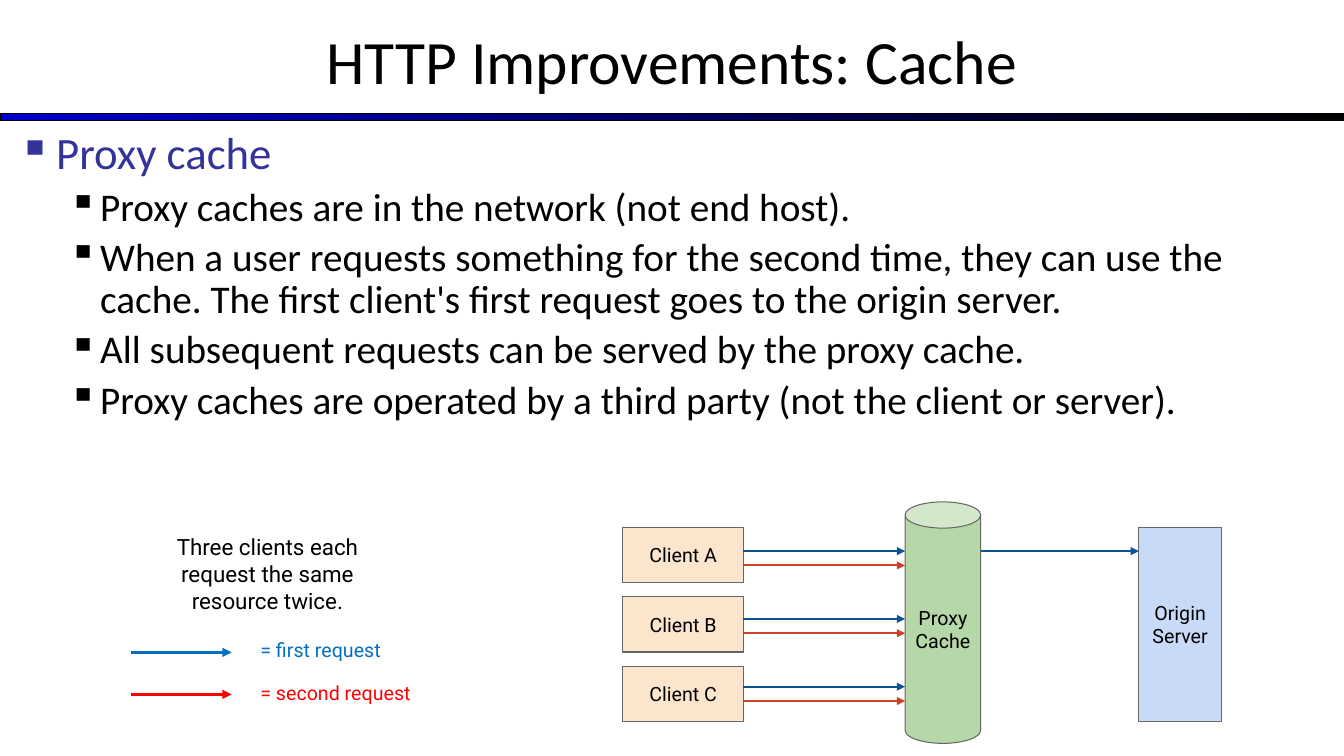
from dataclasses import dataclass

import pptx
import pptx.dml.color
import pptx.enum.shapes
import pptx.enum.text
import pptx.oxml
import pptx.oxml.ns
import pptx.util

Pt = pptx.util.Pt
SHAPE = pptx.enum.shapes.MSO_SHAPE
ALIGN = pptx.enum.text.PP_ALIGN
ANCHOR = pptx.enum.text.MSO_ANCHOR

COLORS = {
    "black": "000000", "bar": "0000CC", "heading": "333399", "outline": "666666",
    "client": "FCE5CD", "cache": "B6D7A8", "server": "C9DAF8",
    "first": "0B5394", "second": "CC4125",
    "first_key": "0070C0", "second_key": "FF0000",
}


@dataclass
class Node:
    text: str
    fill: str
    x: float
    y: float
    w: float
    h: float
    kind: int = SHAPE.RECTANGLE
    inset: float = 7.2


@dataclass
class Arrow:
    x1: float
    x2: float
    y: float
    color: str
    width: float = 1.5


@dataclass
class Label:
    text: str
    x: float
    y: float
    w: float
    h: float
    size: float
    color: str
    align: int = ALIGN.LEFT


@dataclass
class Bullet:
    text: str
    level: int = 1


@dataclass
class BulletStyle:
    size: float
    color: str
    left: float
    hanging: float


def rgb(name: str) -> pptx.dml.color.RGBColor:
    return pptx.dml.color.RGBColor.from_string(COLORS[name])


def set_attrs(obj, values: dict) -> None:
    for name, value in values.items():
        setattr(obj, name, value)


def set_frame(tf, inset_x: float, inset_y: float, anchor: int) -> None:
    set_attrs(tf, {
        "word_wrap": True, "auto_size": pptx.enum.text.MSO_AUTO_SIZE.NONE,
        "vertical_anchor": anchor,
        "margin_left": Pt(inset_x), "margin_right": Pt(inset_x),
        "margin_top": Pt(inset_y), "margin_bottom": Pt(inset_y),
    })


def write(p, text: str, font: str, size: float, color: str, align: int) -> None:
    p.alignment = align
    r = p.add_run()
    r.text = text
    set_attrs(r.font, {"name": font, "size": Pt(size)})
    r.font.color.rgb = rgb(color)


def append_xml(parent, tag: str, **attrs: str):
    child = pptx.oxml.parse_xml(f'<a:{tag} {pptx.oxml.ns.nsdecls("a")}/>')
    for name, value in attrs.items():
        child.set(name, value)
    parent.append(child)
    return child


def draw_node(shapes, node: Node):
    sp = shapes.add_shape(node.kind, Pt(node.x), Pt(node.y), Pt(node.w), Pt(node.h))
    sp.shadow.inherit = False
    sp.fill.solid()
    sp.fill.fore_color.rgb = rgb(node.fill)
    sp.line.color.rgb = rgb("outline")
    sp.line.width = Pt(0.75)
    set_frame(sp.text_frame, node.inset, node.inset, ANCHOR.MIDDLE)
    write(sp.text_frame.paragraphs[0], node.text, "Roboto", 14, "black", ALIGN.CENTER)
    return sp


def draw_arrow(shapes, arrow: Arrow) -> None:
    cx = shapes.add_connector(pptx.enum.shapes.MSO_CONNECTOR.STRAIGHT,
                              Pt(arrow.x1), Pt(arrow.y), Pt(arrow.x2), Pt(arrow.y))
    cx.line.color.rgb = rgb(arrow.color)
    cx.line.width = Pt(arrow.width)
    props = cx._element.spPr
    append_xml(props.find(pptx.oxml.ns.qn("a:ln")), "tailEnd", type="triangle")
    append_xml(props, "effectLst")


def draw_label(shapes, label: Label) -> None:
    sp = shapes.add_textbox(Pt(label.x), Pt(label.y), Pt(label.w), Pt(label.h))
    set_frame(sp.text_frame, 0, 0, ANCHOR.TOP)
    write(sp.text_frame.paragraphs[0], label.text, "Roboto",
          label.size, label.color, label.align)


def write_bullet(p, bullet: Bullet) -> None:
    style = BULLET_STYLES[bullet.level]
    write(p, bullet.text, "Calibri", style.size, style.color, ALIGN.LEFT)
    set_attrs(p, {"level": bullet.level, "line_spacing": 0.9,
                  "space_before": Pt(style.size * 0.2)})
    props = p._p.get_or_add_pPr()
    props.set("marL", str(Pt(style.left)))
    props.set("indent", str(-Pt(style.hanging)))
    append_xml(append_xml(props, "buClr"), "srgbClr", val=COLORS[style.color])
    append_xml(props, "buChar", char="▪")


BULLET_STYLES = [BulletStyle(32, "heading", 27, 27), BulletStyle(28, "black", 58.5, 22.5)]
BULLETS = [
    Bullet("Proxy cache", 0),
    Bullet("Proxy caches are in the network (not end host)."),
    Bullet("When a user requests something for the second time, they can use the cache. "
           "The first client's first request goes to the origin server."),
    Bullet("All subsequent requests can be served by the proxy cache."),
    Bullet("Proxy caches are operated by a third party (not the client or server)."),
]

# Diagram geometry
TOP = 376.5
CLIENT_STEP, ARROW_STEP = 49.75, 48.4
ARROW_TOP, ARROW_GAP = 393.7, 10.2
CLIENTS = [Node(f"Client {c}", "client", 445, TOP + i * CLIENT_STEP, 86, 39.5)
           for i, c in enumerate("ABC")]
CACHE = Node("Proxy Cache", "cache", 646.5, 358.5, 54, 172.5, SHAPE.CAN, 0)
SERVER = Node("Origin Server", "server", 813.5, TOP, 59, 139)
ARROWS = [Arrow(531, CACHE.x, ARROW_TOP + i * ARROW_STEP + j * ARROW_GAP, color)
          for i in range(len(CLIENTS)) for j, color in enumerate(("first", "second"))]
ARROWS.append(Arrow(CACHE.x + CACHE.w, SERVER.x, ARROW_TOP, "first"))


def main() -> None:
    prs = pptx.Presentation()
    set_attrs(prs, {"slide_width": Pt(960), "slide_height": Pt(540)})
    slide = prs.slides.add_slide(prs.slide_layouts[5])
    shapes = slide.shapes

    # Title
    title = shapes.title
    set_attrs(title, {"left": Pt(0), "top": Pt(-2), "width": Pt(960), "height": Pt(90)})
    set_frame(title.text_frame, 7.2, 3.6, ANCHOR.MIDDLE)
    write(title.text_frame.paragraphs[0], "HTTP Improvements: Cache",
          "Calibri", 44, "black", ALIGN.CENTER)

    # Gradient rule under the title
    bar = shapes.add_shape(SHAPE.RECTANGLE, Pt(0), Pt(81), Pt(960), Pt(5.25))
    bar.shadow.inherit = False
    bar.fill.gradient()
    bar.fill.gradient_angle = 0
    for stop, color in zip(bar.fill.gradient_stops, ("bar", "black")):
        stop.color.rgb = rgb(color)
    bar.line.color.rgb = rgb("black")
    bar.line.width = Pt(0.75)

    # Bullets
    tf = shapes.add_textbox(Pt(6), Pt(90), Pt(948), Pt(246)).text_frame
    set_frame(tf, 7.2, 3.6, ANCHOR.TOP)
    for i, bullet in enumerate(BULLETS):
        write_bullet(tf.add_paragraph() if i else tf.paragraphs[0], bullet)

    # Legend
    draw_label(shapes, Label("Three clients each request the same resource twice.",
                             110, 381, 162, 58, 16, "black", ALIGN.CENTER))
    for i, order in enumerate(("first", "second")):
        draw_label(shapes, Label(f"= {order} request", 186, 456 + i * 30.5, 116, 17,
                                 14, f"{order}_key"))
        draw_arrow(shapes, Arrow(93.5, 165.5, 466 + i * 30, f"{order}_key", 2.25))

    # Request diagram
    for node in (*CLIENTS, SERVER, CACHE):
        sp = draw_node(shapes, node)
        if node.kind == SHAPE.CAN:
            sp.adjustments[0] = 0.347
    for arrow in ARROWS:
        draw_arrow(shapes, arrow)

    prs.save("out.pptx")


if __name__ == "__main__":
    main()
